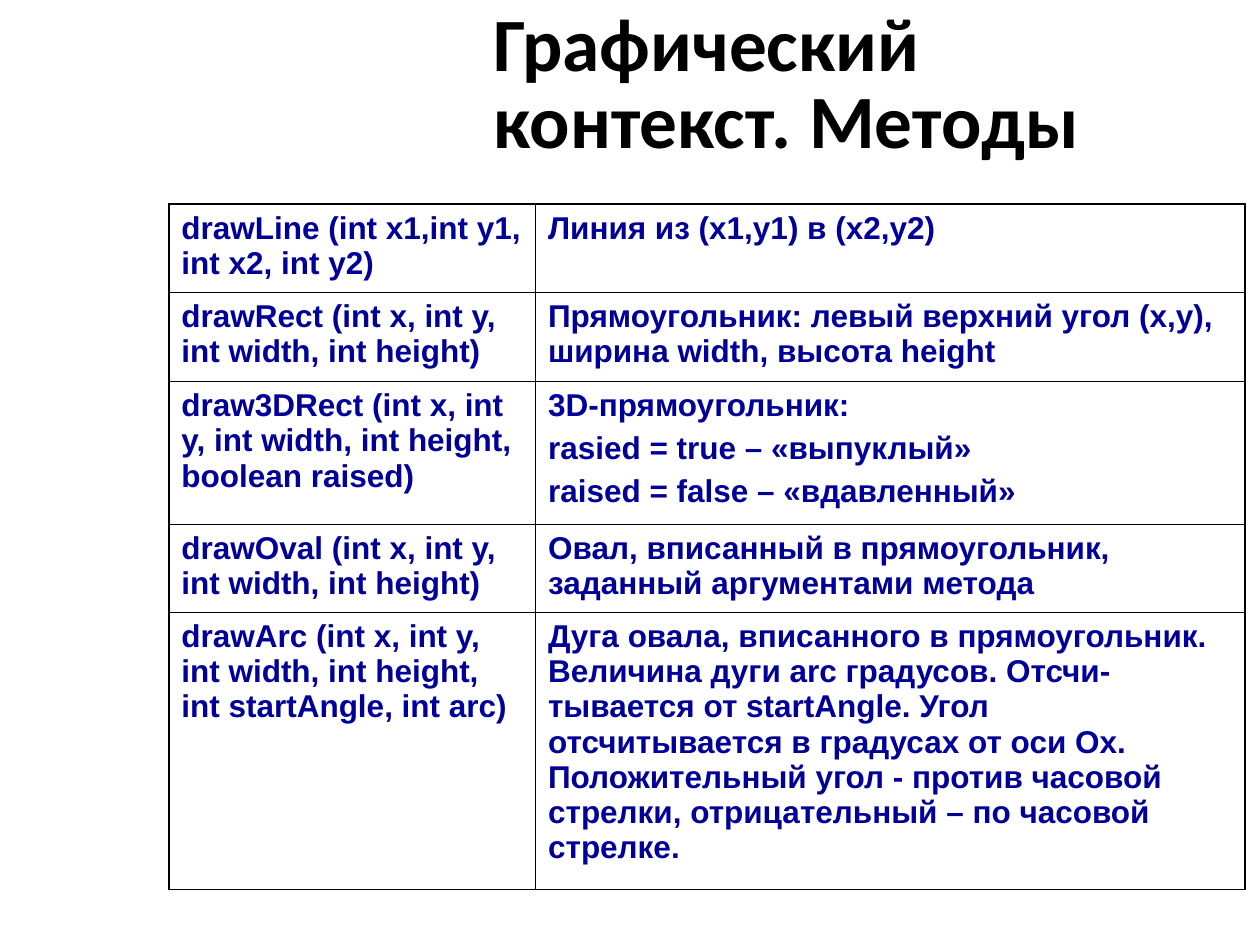
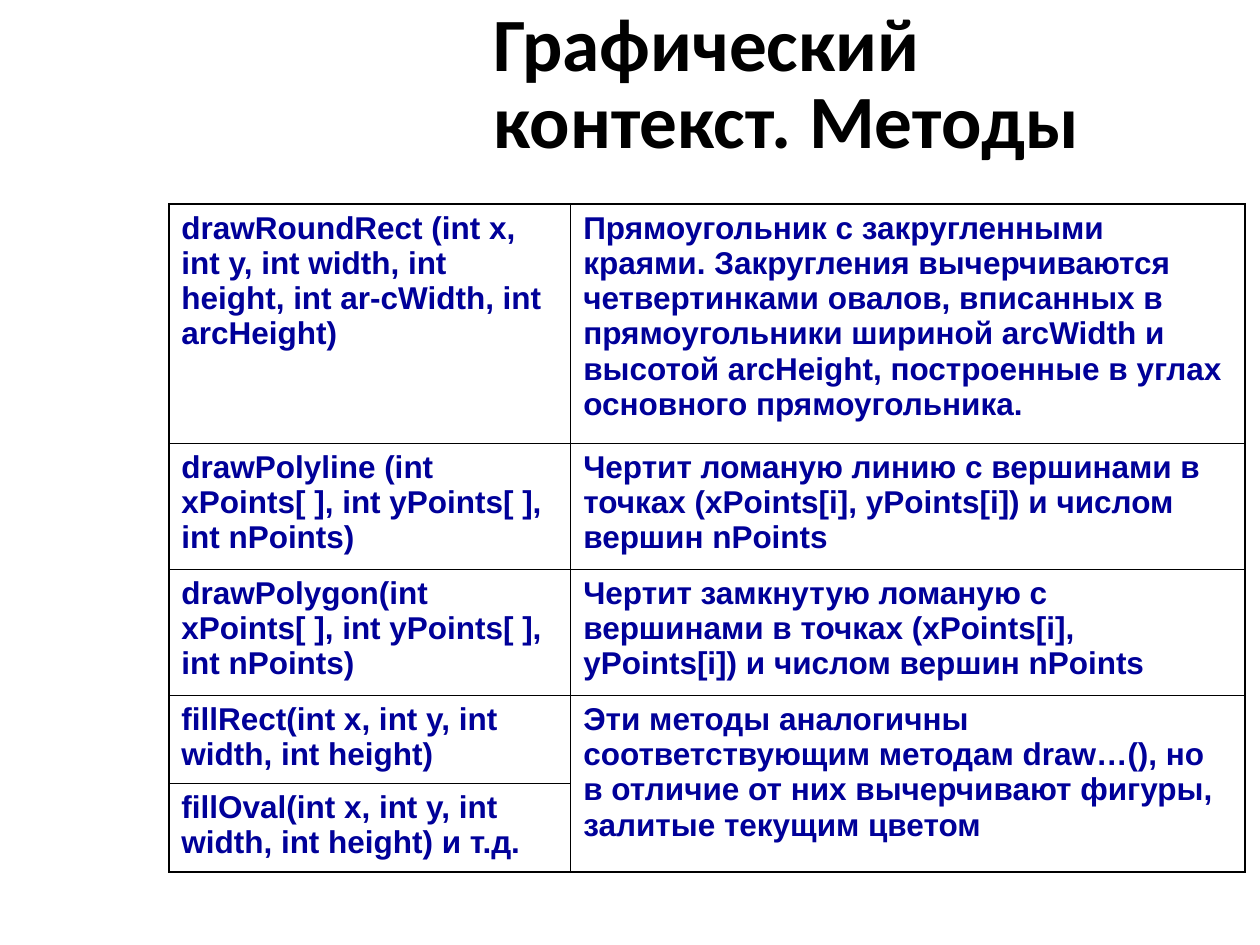
"""Build two slides that list the drawing methods of the graphics context."""
import pptx
import pptx.dml.color
import pptx.enum.text
import pptx.oxml.ns
import pptx.util
import lxml.etree

Inches = pptx.util.Inches
Pt = pptx.util.Pt
BLACK = pptx.dml.color.RGBColor(0x00, 0x00, 0x00)
NAVY = pptx.dml.color.RGBColor(0x00, 0x00, 0x99)
WHITE = pptx.dml.color.RGBColor(0xFF, 0xFF, 0xFF)
THICK, THIN = Pt(1.08), Pt(0.45)
TITLE = "Графический контекст. Методы"

DRAW = [
    ("drawLine (int x1,int y1, int x2, int y2)",
     "Линия из (x1,y1) в (x2,y2)"),
    ("drawRect (int x, int y, int width, int height)",
     "Прямоугольник: левый верхний угол (x,y), ширина width, высота height"),
    ("draw3DRect (int x, int y, int width, int height, boolean raised)",
     "3D-прямоугольник:\nrasied = true – «выпуклый»\nraised = false – «вдавленный»"),
    ("drawOval (int x, int y, int width, int height)",
     "Овал, вписанный в прямоугольник, заданный аргументами метода"),
    ("drawArc (int x, int y, int width, int height, int startAngle, int arc)",
     "Дуга овала, вписанного в прямоугольник. Величина дуги arc градусов. "
     "Отсчи-тывается от startAngle. Угол отсчитывается в градусах от оси Ox. "
     "Положительный угол - против часовой стрелки, отрицательный – по часовой стрелке."),
]
FILL = [
    ("drawRoundRect (int x, int y, int width, int height, int ar-cWidth, int arcHeight)",
     "Прямоугольник с закругленными краями. Закругления вычерчиваются четвертинками "
     "овалов, вписанных в прямоугольники шириной arcWidth и высотой arcHeight, "
     "построенные в углах основного прямоугольника."),
    ("drawPolyline (int xPoints[ ], int yPoints[ ], int nPoints)",
     "Чертит ломаную линию с вершинами в точках (xPoints[i], yPoints[i]) "
     "и числом вершин nPoints"),
    ("drawPolygon(int xPoints[ ], int yPoints[ ], int nPoints)",
     "Чертит замкнутую ломаную с вершинами в точках (xPoints[i], yPoints[i]) "
     "и числом вершин nPoints"),
    ("fillRect(int x, int y, int width, int height)",
     "Эти методы аналогичны соответствующим методам draw…(), но в отличие от них "
     "вычерчивают фигуры, залитые текущим цветом"),
    ("fillOval(int x, int y, int width, int height) и т.д.", None),
]


class Deck:
    def __init__(self):
        self.prs = pptx.Presentation()
        self.prs.slide_width, self.prs.slide_height = Inches(10), Inches(7.5)
        self.slide = None

    def page(self, text):
        self.slide = self.prs.slides.add_slide(self.prs.slide_layouts[5])
        title = self.slide.shapes.title
        title.left, title.top = Inches(3.82), Inches(0.52)
        title.width, title.height = Inches(5.92), Inches(0.83)
        frame = title.text_frame
        frame.text = text
        frame.word_wrap = True
        frame.auto_size = pptx.enum.text.MSO_AUTO_SIZE.NONE
        frame.vertical_anchor = pptx.enum.text.MSO_ANCHOR.BOTTOM
        para = frame.paragraphs[0]
        para.alignment = pptx.enum.text.PP_ALIGN.LEFT
        para.line_spacing = 0.85
        self.font(para, "Calibri", 43, BLACK)

    def font(self, para, name, size, color):
        para.font.name, para.font.size, para.font.bold = name, Pt(size), True
        para.font.color.rgb = color

    def table(self, data, cols, rows, merge=None):
        frame = self.slide.shapes.add_table(
            len(rows), len(cols), Inches(1.34), Inches(1.62),
            Inches(sum(cols)), Inches(sum(rows)))
        grid = frame.table
        grid.first_row = grid.horz_banding = False
        for col, width in zip(grid.columns, cols):
            col.width = Inches(width)
        for row, height in zip(grid.rows, rows):
            row.height = Inches(height)
        if merge:
            start, end = merge
            grid.cell(*start).merge(grid.cell(*end))
        for i, line in enumerate(data):
            for j, text in enumerate(line):
                cell = grid.cell(i, j)
                last = i + (cell.span_height if cell.is_merge_origin else 1) == len(rows)
                self.edge(cell, {"L": j == 0, "R": j == len(cols) - 1,
                                 "T": i == 0, "B": last})
                cell.fill.solid()
                cell.fill.fore_color.rgb = WHITE
                if text:
                    self.label(cell, text)

    def label(self, cell, text):
        cell.text_frame.text = text
        for k, para in enumerate(cell.text_frame.paragraphs):
            if k:
                para.space_before = Pt(4.5)
            self.font(para, "Arial", 18, NAVY)

    def edge(self, cell, sides):
        qn = pptx.oxml.ns.qn
        props = cell._tc.get_or_add_tcPr()
        for side, outer in sides.items():
            line = lxml.etree.SubElement(
                props, qn("a:ln" + side), w=str(THICK if outer else THIN))
            fill = lxml.etree.SubElement(line, qn("a:solidFill"))
            lxml.etree.SubElement(fill, qn("a:srgbClr"), val=str(BLACK))


def main():
    deck = Deck()
    deck.page(TITLE)
    deck.table(DRAW, [2.91, 5.63], [0.7, 0.71, 1.13, 0.7, 2.2])
    deck.page(TITLE)
    deck.table(FILL, [3.19, 5.35], [1.9, 1, 1, 0.7, 0.7], merge=((3, 1), (4, 1)))
    deck.prs.save("out.pptx")


if __name__ == "__main__":
    main()
